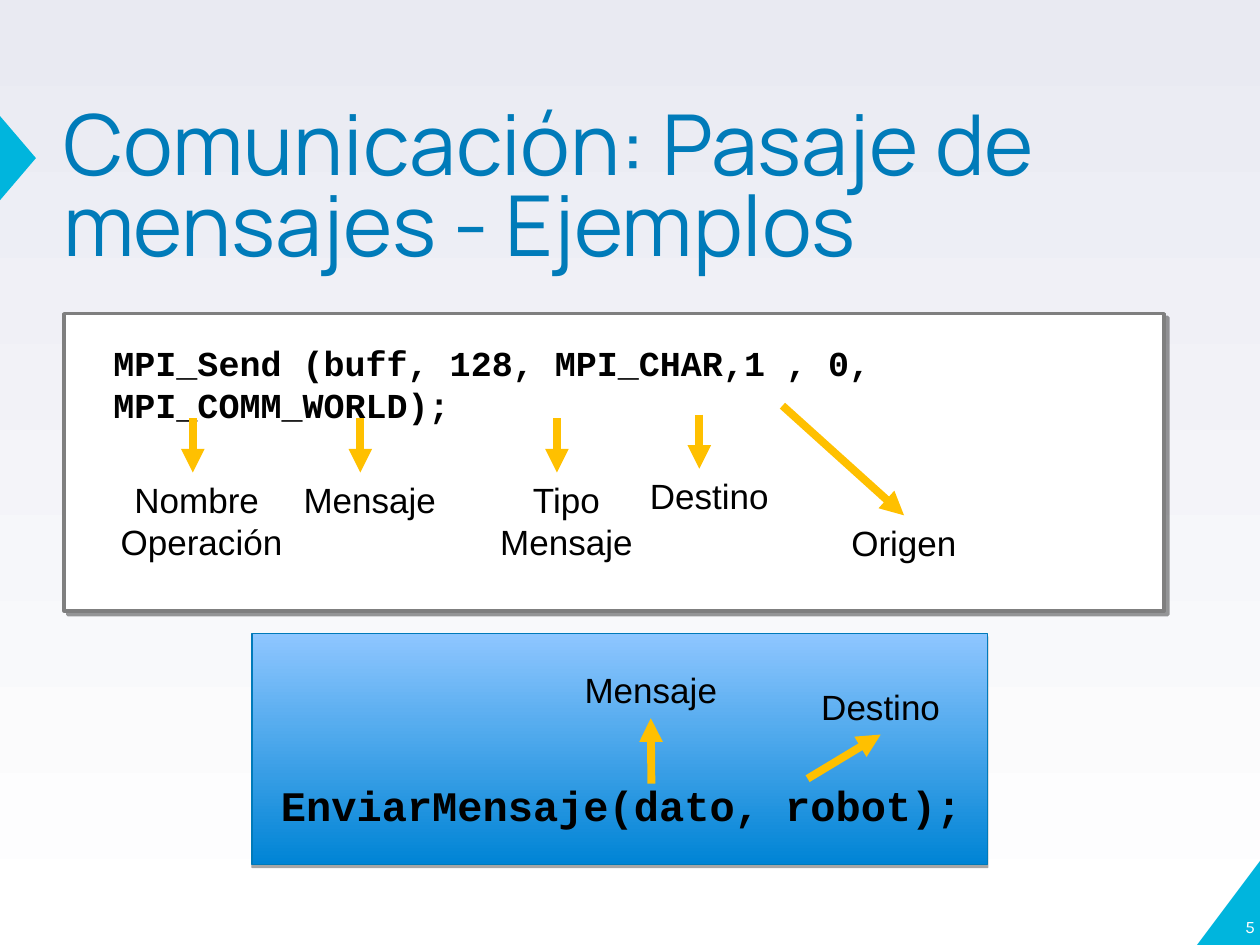
from lxml import etree
from pptx import Presentation
from pptx.dml.color import RGBColor
from pptx.enum.shapes import MSO_CONNECTOR, MSO_SHAPE
from pptx.enum.text import MSO_ANCHOR, MSO_AUTO_SIZE, PP_ALIGN
from pptx.oxml.ns import qn
from pptx.util import Inches, Pt

STRAIGHT = MSO_CONNECTOR.STRAIGHT
RECT, TRI, CORNER = MSO_SHAPE.RECTANGLE, MSO_SHAPE.ISOSCELES_TRIANGLE, MSO_SHAPE.RIGHT_TRIANGLE
TOP, MIDDLE, BOTTOM = MSO_ANCHOR.TOP, MSO_ANCHOR.MIDDLE, MSO_ANCHOR.BOTTOM
LEFT, CENTER, RIGHT = PP_ALIGN.LEFT, PP_ALIGN.CENTER, PP_ALIGN.RIGHT
NOFIT = MSO_AUTO_SIZE.NONE

WHITE = RGBColor(0xFF, 0xFF, 0xFF)
BLACK = RGBColor(0, 0, 0)
MIST = RGBColor(0xE9, 0xEA, 0xF2)
CYAN = RGBColor(0x00, 0xB5, 0xDD)
BLUE = RGBColor(0x00, 0x7B, 0xB9)
EDGE = RGBColor(0x00, 0x7A, 0xB9)
DEEP = RGBColor(0x00, 0x84, 0xD5)
SKY = RGBColor(0x8E, 0xC6, 0xFF)
GRAY = RGBColor(0x7F, 0x7F, 0x7F)
AMBER = RGBColor(0xFF, 0xC0, 0x00)

SEND_TOP = 3.75
# text, left, top, width, height, arrow start, arrow end
SEND_LABELS = [
    ("Nombre \nOperación", 0.86, SEND_TOP, 1.48, 0.77, (1.53, 3.32), (1.53, 3.75)),
    ("Mensaje", 2.31, SEND_TOP, 1.25, 0.44, (2.86, 3.32), (2.86, 3.75)),
    ("Tipo\nMensaje", 3.87, SEND_TOP, 1.25, 0.77, (4.42, 3.32), (4.42, 3.75)),
    ("Destino", 5.06, 3.72, 1.14, 0.44, (5.55, 3.29), (5.55, 3.72)),
]
# text, left, top, width, arrow start, side where the arrow joins
JOINED_LABELS = [
    ("Origen", 6.66, 4.09, 1.03, (6.21, 3.22), 0),
    ("Mensaje", 4.54, 5.26, 1.25, (5.17, 6.22), 2),
    ("Destino", 6.42, 5.39, 1.14, (6.41, 6.18), 2),
]


def fade(fill, low, high):
    """Vertical gradient from low at the bottom to high at the top."""
    fill.gradient()
    fill.gradient_angle = 90
    for stop, color in zip(fill.gradient_stops, (low, high)):
        stop.color.rgb = color


def write(shape, text, size, font="Arial", color=BLACK, bold=False,
          align=LEFT, anchor=TOP, inset=(0, 0), wrap=True, spacing=None):
    frame = shape.text_frame
    frame.word_wrap = wrap
    frame.auto_size = NOFIT
    frame.vertical_anchor = anchor
    frame.margin_left = frame.margin_right = Inches(inset[0])
    frame.margin_top = frame.margin_bottom = Inches(inset[1])
    frame.text = text
    for para in frame.paragraphs:
        para.alignment = align
        para.line_spacing = spacing
        para.font.name = font
        para.font.size = Pt(size)
        para.font.bold = bold
        para.font.color.rgb = color


def text_box(slide, box, text, size, **style):
    shape = slide.shapes.add_textbox(*map(Inches, box))
    write(shape, text, size, **style)
    return shape


def label(slide, box, text):
    return text_box(slide, box, text, 20, align=CENTER, inset=(0.1, 0.05), wrap=False)


def block(slide, kind, box, color=None):
    shape = slide.shapes.add_shape(kind, *map(Inches, box))
    shape.shadow.inherit = False
    shape.line.fill.background()
    if color is not None:
        shape.fill.solid()
        shape.fill.fore_color.rgb = color
    return shape


def outline(shape, color, width):
    shape.line.color.rgb = color
    shape.line.width = Pt(width)


def cast(shape, alpha, dist, angle):
    """Hard black shadow: alpha in percent, distance in points, angle in degrees."""
    effects = shape._element.spPr.find(qn("a:effectLst"))
    shadow = etree.SubElement(effects, qn("a:outerShdw"), blurRad="0", dist=str(Pt(dist)),
                              dir=str(angle * 60000), algn="tl", rotWithShape="0")
    tone = etree.SubElement(shadow, qn("a:srgbClr"), val="000000")
    etree.SubElement(tone, qn("a:alpha"), val=str(alpha * 1000))


def arrow(slide, start, end):
    line = slide.shapes.add_connector(STRAIGHT, *map(Inches, start + end))
    outline(line, AMBER, 4.5)
    etree.SubElement(line.line._get_or_add_ln(), qn("a:tailEnd"), type="triangle")
    etree.SubElement(line._element.spPr, qn("a:effectLst"))
    return line


def decorate(slide):
    fade(slide.background.fill, WHITE, MIST)
    corner = block(slide, CORNER, (9.5, 6.82, 0.51, 0.68), CYAN)
    corner._element.spPr.xfrm.set("flipH", "1")
    block(slide, TRI, (-0.2, 1.11, 0.68, 0.29), CYAN).rotation = 90
    text_box(slide, (9.46, 6.76, 0.5, 0.68), "5", 10, font="Karla", color=WHITE,
             align=RIGHT, anchor=BOTTOM)


def panels(slide):
    robot = block(slide, RECT, (2, 5.03, 5.84, 1.83))
    fade(robot.fill, DEEP, SKY)
    outline(robot, EDGE, 0.75)
    cast(robot, 35, 1.8, 90)
    send = block(slide, RECT, (0.51, 2.49, 8.73, 2.36), WHITE)
    outline(send, GRAY, 2)
    cast(send, 40, 3, 45)
    code = dict(font="Courier New", bold=True, anchor=MIDDLE)
    text_box(slide, (0.9, 2.71, 8.35, 0.67),
             "MPI_Send (buff, 128, MPI_CHAR,1 , 0, MPI_COMM_WORLD);", 20, **code)
    text_box(slide, (2.23, 6.19, 5.61, 0.4), "EnviarMensaje(dato, robot);", 24, **code)


def main():
    prs = Presentation()
    prs.slide_width, prs.slide_height = Inches(10), Inches(7.5)
    slide = prs.slides.add_slide(prs.slide_layouts[5])
    decorate(slide)
    title = slide.shapes.title
    title.left, title.top, title.width, title.height = map(Inches, (0.5, 0.88, 9.5, 1.58))
    write(title, "Comunicación: Pasaje de mensajes - Ejemplos", 48,
          font="Manrope", color=BLUE, spacing=0.8)
    panels(slide)
    for text, left, top, width, height, start, end in SEND_LABELS:
        arrow(slide, start, end)
        label(slide, (left, top, width, height), text)
    for text, left, top, width, start, side in JOINED_LABELS:
        target = label(slide, (left, top, width, 0.44), text)
        arrow(slide, start, (left, top)).end_connect(target, side)
    prs.save("out.pptx")


if __name__ == "__main__":
    main()
